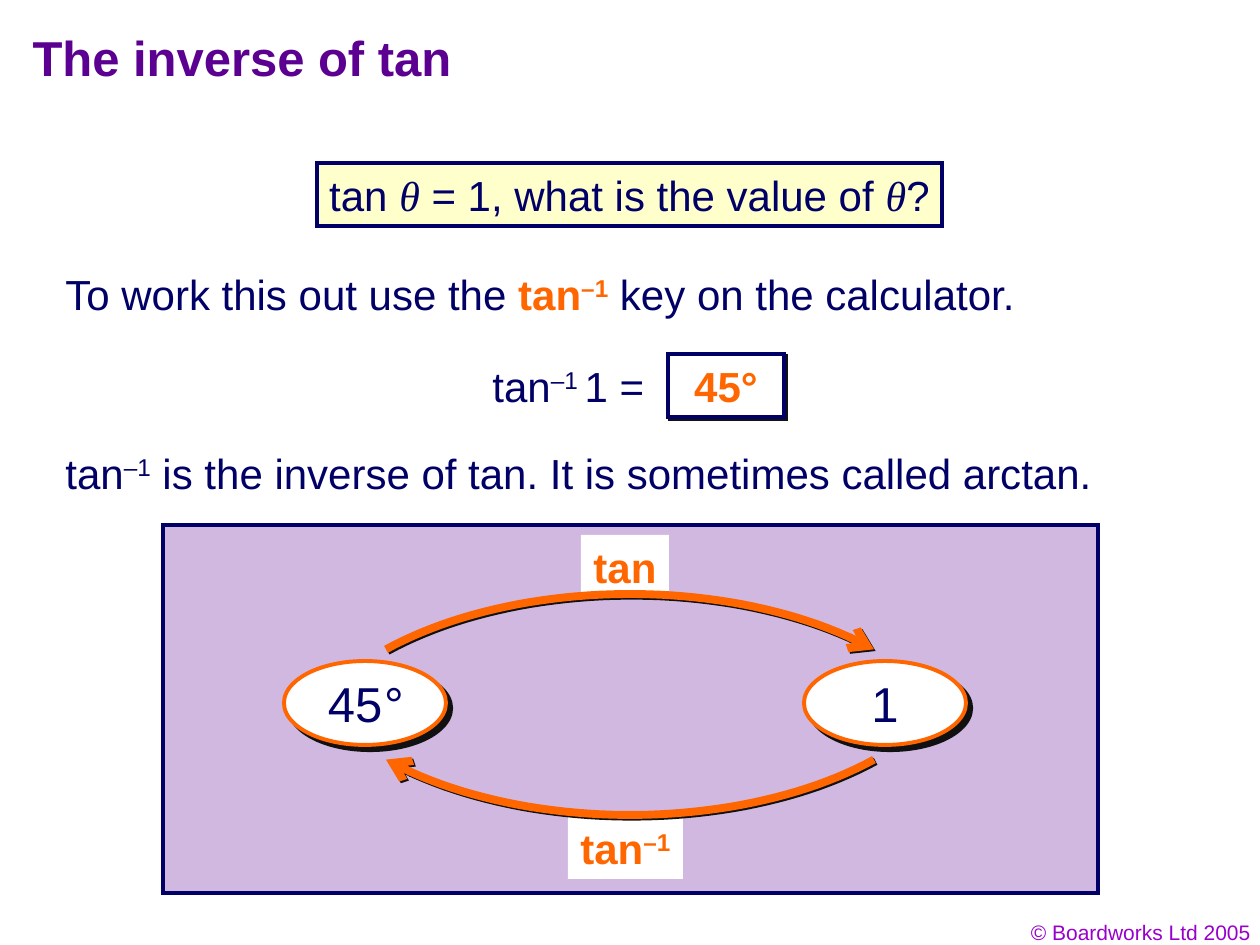
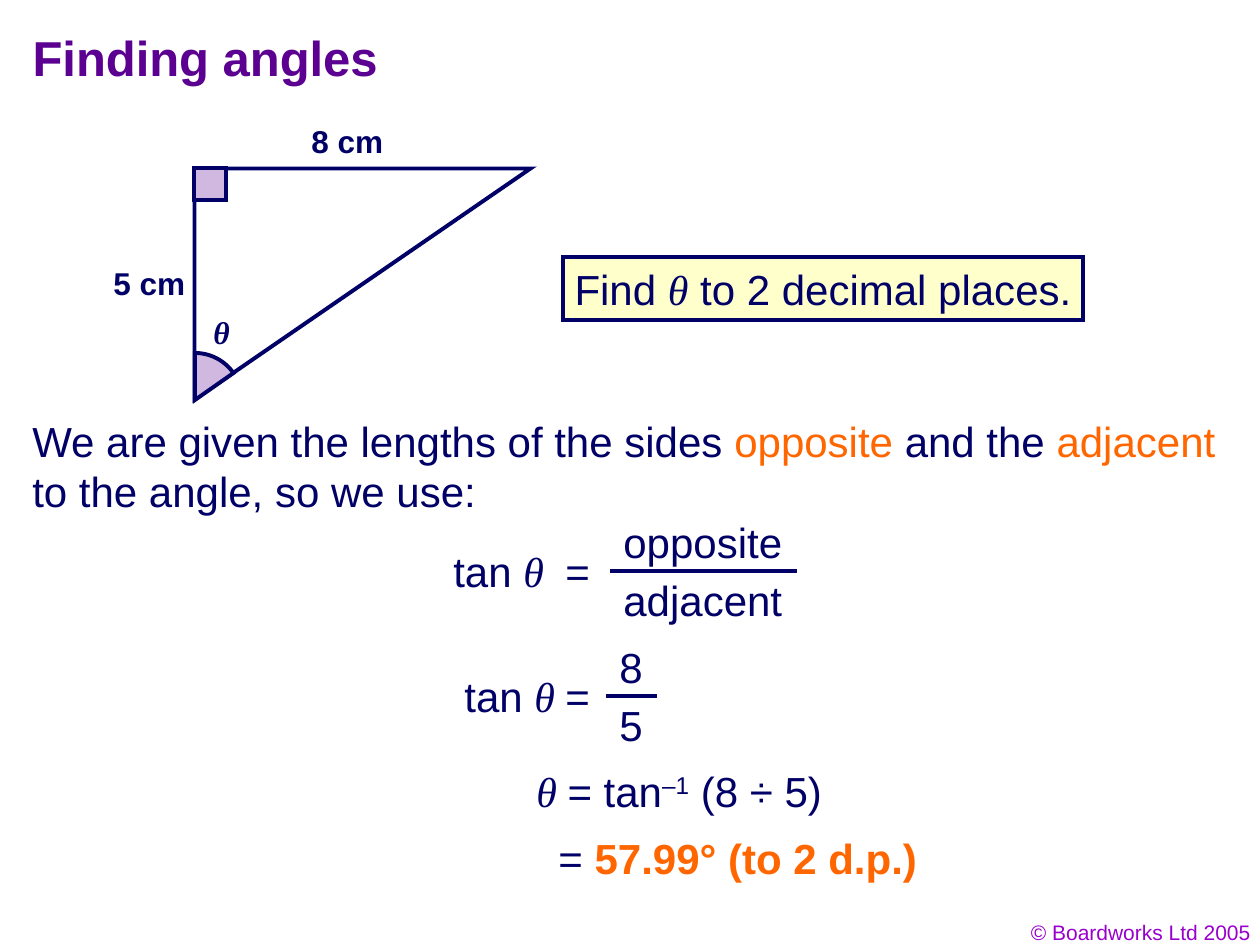
"""Build two trigonometry slides on the inverse of tan and on finding angles."""
import math

import lxml.etree
import pptx
import pptx.dml.color
import pptx.enum.shapes
import pptx.enum.text
import pptx.oxml.ns
import pptx.util

PX = 914400 / 126
WIDTH, HEIGHT = 1260, 945
COLORS = {"navy": "000066", "purple": "5B0091", "violet": "9900CC", "orange": "FF6600",
          "lilac": "D0B8E0", "cream": "FFFFCC", "white": "FFFFFF", "shadow": "111111"}
STYLES = {
    "theta": {"font": "Times New Roman", "italic": True},
    "sup": {"baseline": 30},
    "orange": {"color": "orange"},
    "key": {"color": "orange", "bold": True},
    "key sup": {"color": "orange", "bold": True, "baseline": 30},
    "italic": {"italic": True},
}
THETA = ("θ", "theta")
SUP = ("–1", "sup")
SHAPE = pptx.enum.shapes.MSO_SHAPE
ALIGN = pptx.enum.text.PP_ALIGN
ANCHOR = pptx.enum.text.MSO_ANCHOR
qn = pptx.oxml.ns.qn

TITLE_BOX = (20, 15, 1071, 84)
FOOTER = ("© Boardworks Ltd 2005", (969, 913, 294, 38))

INVERSE = {
    "title": "The inverse of tan",
    "question": (["tan ", THETA, " = 1, what is the value of ", THETA, "?"], (317, 163, 625, 63)),
    "texts": [
        (["To work this out use the ", ("tan", "key"), ("–1", "key sup"),
          " key on the calculator."], (53, 262, 982, 63)),
        (["tan", ("–1 ", "sup"), "1 ="], (480, 354, 195, 63)),
        (["tan", SUP, " is the inverse of tan. It is sometimes called arctan."],
         (53, 441, 1051, 63)),
    ],
    "answer": ([("45°", "key")], (668, 354, 116, 63)),
    "panel": (163, 525, 935, 368),
    "ovals": [(["45", ("°", "italic")], (284, 661, 162, 84)), (["1"], (804, 661, 162, 84))],
    "arrows": [
        ([("tan", "key")], (581, 535, 88, 63), (630, 783), 225),
        ([("tan", "key"), ("–1", "key sup")], (568, 816, 115, 63), (630, 626), 45),
    ],
}
ARC_RADII = (345, 189)

ANGLES = {
    "title": "Finding angles",
    "question": (["Find ", THETA, " to 2 decimal places."], (563, 257, 520, 63)),
    "intro": (["We are given the lengths of the sides ", ("opposite", "orange"), " and the ",
               ("adjacent", "orange"), " to the angle, so we use:"], (20, 409, 1225, 113)),
    "fractions": [("opposite", "adjacent", 441, 611, 510, 184), ("8", "5", 452, 607, 635, 48)],
    "working": [
        ([("θ ", "theta"), "= tan", SUP, " (8 ÷ 5)"], (524, 759, 400, 63)),
        (["= ", ("57.99° (to 2 d.p.)", "key")], (546, 826, 460, 63)),
    ],
    "labels": [([THETA], (201, 307, 42, 50)), (["5 cm"], (101, 258, 97, 50)),
               (["8 cm"], (299, 116, 97, 50))],
    "triangle": (247, 116, 231, 336),
    "right angle": (194, 168, 32, 32),
    "angle": ((195, 400), (47, 47), -90, -35),
}


def emu(*lengths):
    return [round(length * PX) for length in lengths]


def rgb(name):
    return pptx.dml.color.RGBColor.from_string(COLORS[name])


def write(frame, pieces, *, size=24, color="navy", bold=False, align=ALIGN.LEFT,
          wrap=False, anchor=ANCHOR.TOP):
    frame.word_wrap = wrap
    frame.vertical_anchor = anchor
    paragraph = frame.paragraphs[0]
    paragraph.alignment = align
    for piece in pieces:
        text, style = (piece, {}) if isinstance(piece, str) else (piece[0], STYLES[piece[1]])
        run = paragraph.add_run()
        run.text = text
        run.font.name = style.get("font", "Arial")
        run.font.size = pptx.util.Pt(size)
        run.font.bold = style.get("bold", bold)
        run.font.italic = style.get("italic", False)
        run.font.color.rgb = rgb(style.get("color", color))
        if "baseline" in style:
            run._r.get_or_add_rPr().set("baseline", str(style["baseline"] * 1000))


def add_text(slide, pieces, box, **text_format):
    shape = slide.shapes.add_textbox(*emu(*box))
    write(shape.text_frame, pieces, **text_format)
    shape.text_frame.auto_size = pptx.enum.text.MSO_AUTO_SIZE.SHAPE_TO_FIT_TEXT
    return shape


def add_child(parent, tag, **attributes):
    return lxml.etree.SubElement(parent, qn(tag), attributes)


def paint(shape, fill=None, line="navy", width=2.25, shadow=0, arrow=False):
    if fill:
        shape.fill.solid()
        shape.fill.fore_color.rgb = rgb(fill)
    else:
        shape.fill.background()
    if line:
        shape.line.color.rgb = rgb(line)
        shape.line.width = pptx.util.Pt(width)
        outline = shape.element.spPr.find(qn("a:ln"))
        add_child(outline, "a:miter", lim="800000")
        if arrow:
            add_child(outline, "a:tailEnd", type="arrow")
    else:
        shape.line.fill.background()
    shape.shadow.inherit = False
    if shadow:
        effects = shape.element.spPr.find(qn("a:effectLst"))
        outer = add_child(effects, "a:outerShdw", dist=str(round(shadow * 12700)),
                          dir="2700000", algn="ctr", rotWithShape="0")
        add_child(outer, "a:srgbClr", val=COLORS["shadow"])


def add_box(slide, box, kind=SHAPE.RECTANGLE, pieces=(), size=24, **look):
    shape = slide.shapes.add_shape(kind, *emu(*box))
    paint(shape, **look)
    if pieces:
        write(shape.text_frame, pieces, size=size, align=ALIGN.CENTER, anchor=ANCHOR.MIDDLE)
    return shape


def add_arc(slide, center, radii, start, end, sector=False, **look):
    steps = 45
    angles = [math.radians(start + (end - start) * step / steps) for step in range(steps + 1)]
    points = [emu(center[0] + radii[0] * math.cos(angle), center[1] + radii[1] * math.sin(angle))
              for angle in angles]
    if sector:
        points.append(emu(*center))
    builder = slide.shapes.build_freeform(*points[0])
    builder.add_line_segments(points[1:], close=sector)
    paint(builder.convert_to_shape(), **look)


def add_line(slide, left, right, top):
    line = slide.shapes.add_connector(pptx.enum.shapes.MSO_CONNECTOR.STRAIGHT,
                                      *emu(left, top, right, top))
    line.line.color.rgb = rgb("navy")
    line.line.width = pptx.util.Pt(2.25)
    add_child(line.element.spPr, "a:effectLst")


def add_fraction(slide, above, below, equation_left, left, top, width):
    add_text(slide, ["tan ", THETA], (equation_left, top + 29, 116, 63))
    add_text(slide, ["="], (553, top + 29, 50, 63))
    add_text(slide, [above], (left, top, width, 63))
    add_line(slide, left - 1, left + width + 2, top + 61)
    add_text(slide, [below], (left, top + 58, width, 63))


def add_slide(presentation, title):
    slide = presentation.slides.add_slide(presentation.slide_layouts[5])
    placeholder = slide.shapes.title
    placeholder.left, placeholder.top, placeholder.width, placeholder.height = emu(*TITLE_BOX)
    write(placeholder.text_frame, [title], size=28, color="purple", bold=True, wrap=True,
          anchor=ANCHOR.MIDDLE)
    return slide


def add_footer(presentation, slide):
    text, box = FOOTER
    footer = add_text(slide, [text], box, size=12, color="violet", align=ALIGN.RIGHT, wrap=True)
    presentation.slide_master.element.cSld.spTree.append(footer.element)


def build_inverse(slide):
    add_box(slide, INVERSE["panel"], fill="lilac")
    pieces, box = INVERSE["question"]
    add_box(slide, box, pieces=pieces, fill="cream")
    for pieces, box in INVERSE["texts"]:
        add_text(slide, pieces, box)
    pieces, box = INVERSE["answer"]
    add_box(slide, box, pieces=pieces, fill="white", shadow=1.4)
    for pieces, box in INVERSE["ovals"]:
        add_box(slide, box, SHAPE.OVAL, pieces, size=28, fill="white", line="orange", shadow=4.2)
    for pieces, box, center, start in INVERSE["arrows"]:
        add_box(slide, box, pieces=pieces, fill="white", line=None)
        add_arc(slide, center, ARC_RADII, start, start + 90, line="orange", width=4.5,
                shadow=1.4, arrow=True)


def build_angles(slide):
    pieces, box = ANGLES["intro"]
    add_text(slide, pieces, box, wrap=True)
    for fraction in ANGLES["fractions"]:
        add_fraction(slide, *fraction)
    for pieces, box in ANGLES["working"]:
        add_text(slide, pieces, box, wrap=True)
    add_box(slide, ANGLES["triangle"], SHAPE.RIGHT_TRIANGLE).rotation = 90
    add_arc(slide, *ANGLES["angle"], sector=True, fill="lilac")
    add_box(slide, ANGLES["right angle"], fill="lilac")
    for pieces, box in ANGLES["labels"]:
        add_text(slide, pieces, box, size=18, bold=True)
    pieces, box = ANGLES["question"]
    add_box(slide, box, pieces=pieces, fill="cream")


def main():
    presentation = pptx.Presentation()
    presentation.slide_width, presentation.slide_height = emu(WIDTH, HEIGHT)
    inverse_slide = add_slide(presentation, INVERSE["title"])
    add_footer(presentation, inverse_slide)
    build_inverse(inverse_slide)
    build_angles(add_slide(presentation, ANGLES["title"]))
    presentation.save("out.pptx")


if __name__ == "__main__":
    main()
